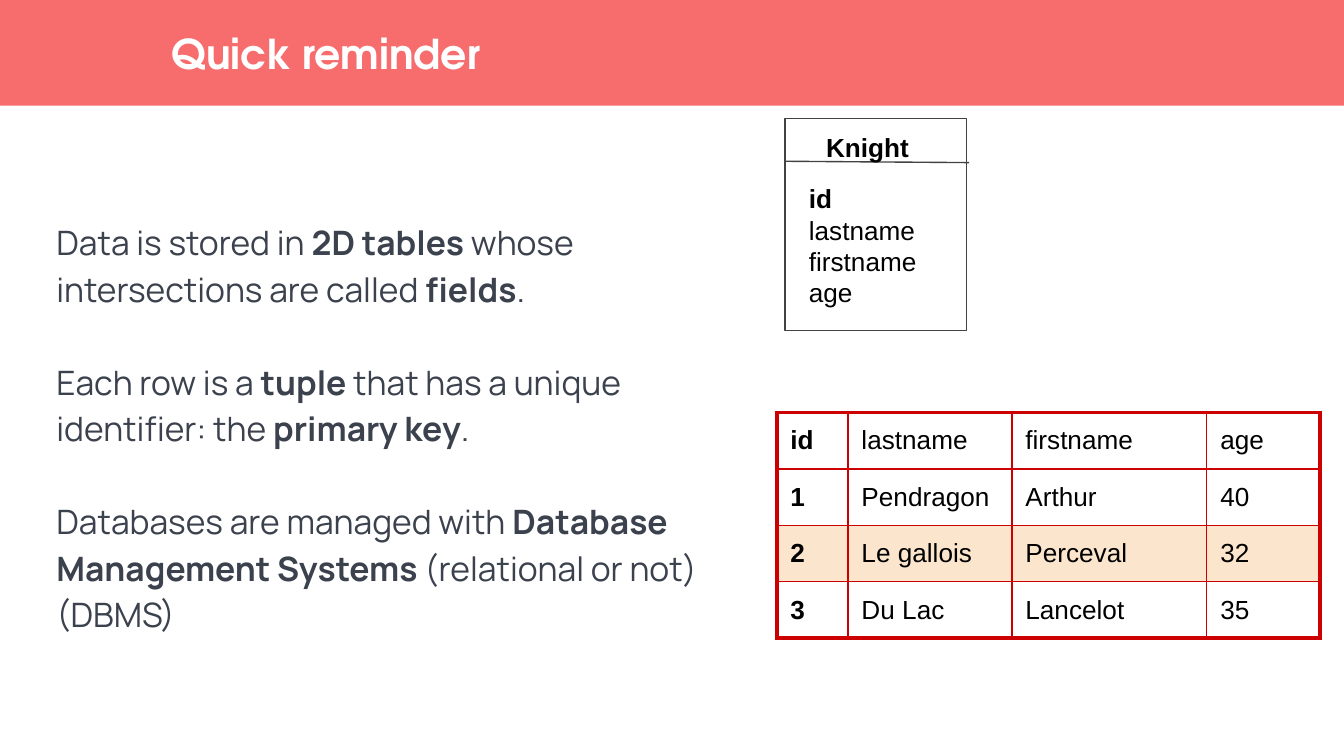
"""Build the database reminder slide: key ideas, entity box and sample table."""
from lxml import etree
from pptx import Presentation, util as u
from pptx.dml.color import RGBColor
from pptx.enum import shapes, text
from pptx.oxml.ns import qn

W = 10
H = W * 9 / 16
CORAL, WHITE, SLATE, BLACK = "F76C6C", "FFFFFF", "3B424E", "000000"
GREY, RED, PEACH = "424242", "CC0000", "FCE5CD"

TITLE = "Quick reminder"
IDEAS = [
    "Data is stored in **2D tables** whose intersections are called **fields**.",
    "Each row is a **tuple** that has a unique identifier: the **primary key**.",
    "Databases are managed with **Database Management Systems** (relational or not) (DBMS)",
]
ENTITY = "Knight"
FIELDS = ["id", "lastname", "firstname", "age"]
KNIGHTS = [
    ["1", "Pendragon", "Arthur", "40"],
    ["2", "Le gallois", "Perceval", "32"],
    ["3", "Du Lac", "Lancelot", "35"],
]
COLS, ROW_H = [0.53, 1.22, 1.45, 0.84], 0.42
HIGHLIGHT_ROW = 2
THIN, THICK = 0.75, 2.25


def rgb(hex_color):
    """Turn a hex string into a colour."""
    return RGBColor.from_string(hex_color)


def inches(*values):
    """Turn numbers into inch lengths."""
    return [u.Inches(v) for v in values]


def write(tf, lines, size=14, font="Arial", color=BLACK, inset=0.1, gap=0,
          spacing=None, align=None, anchor=text.MSO_ANCHOR.TOP):
    """Write lines into a text frame; ** switches bold on and off."""
    tf.word_wrap = True
    tf.vertical_anchor = anchor
    tf.margin_left = tf.margin_top = tf.margin_right = tf.margin_bottom = u.Inches(inset)
    for i, line in enumerate(lines):
        p = tf.add_paragraph() if i else tf.paragraphs[0]
        p.alignment, p.line_spacing = align, spacing
        if i and gap:
            p.space_before = u.Pt(gap)
        for j, part in enumerate(line.split("**")):
            if part:
                r = p.add_run()
                r.text = part
                r.font.size, r.font.name, r.font.bold = u.Pt(size), font, j % 2 == 1
                r.font.color.rgb = rgb(color)


def add_text(parent, box, lines, **fmt):
    """Add a text box to a shape collection."""
    write(parent.add_textbox(*inches(*box)).text_frame, lines, **fmt)


def add_rect(parent, box, fill=None, line=None):
    """Add a plain rectangle."""
    sp = parent.add_shape(shapes.MSO_SHAPE.RECTANGLE, *inches(*box))
    sp.shadow.inherit = False
    if fill:
        sp.fill.solid()
        sp.fill.fore_color.rgb = rgb(fill)
    else:
        sp.fill.background()
    if line:
        sp.line.color.rgb, sp.line.width = rgb(line), u.Pt(THIN)
    else:
        sp.line.fill.background()


def add_line(parent, start, end, color):
    """Add a thin straight line."""
    cn = parent.add_connector(shapes.MSO_CONNECTOR.STRAIGHT, *inches(*start, *end))
    cn.line.color.rgb, cn.line.width = rgb(color), u.Pt(THIN)
    etree.SubElement(cn._element.spPr, qn("a:effectLst"))


def add_border(cell, side, width):
    """Draw one side of a cell."""
    ln = etree.SubElement(cell._tc.get_or_add_tcPr(), qn(f"a:ln{side}"), w=str(u.Pt(width)))
    fill = etree.SubElement(ln, qn("a:solidFill"))
    etree.SubElement(fill, qn("a:srgbClr"), val=RED)


def add_knights(s, left, top):
    """Add the sample table with a thick outer frame and bold keys."""
    rows = [FIELDS] + KNIGHTS
    last_row, last_col = len(rows) - 1, len(COLS) - 1
    table = s.shapes.add_table(len(rows), len(COLS),
                               *inches(left, top, sum(COLS), ROW_H * len(rows))).table
    table.first_row = table.horz_banding = False
    for column, width in zip(table.columns, COLS):
        column.width = u.Inches(width)
    for i, row in enumerate(rows):
        table.rows[i].height = u.Inches(ROW_H)
        for j, value in enumerate(row):
            cell = table.cell(i, j)
            write(cell.text_frame, [value if j else f"**{value}**"])
            cell.margin_left = cell.margin_right = cell.margin_top = u.Inches(0.1)
            cell.margin_bottom = u.Inches(0.08)
            outer = {"L": j == 0, "R": j == last_col, "T": i == 0, "B": i == last_row}
            for side, thick in outer.items():
                add_border(cell, side, THICK if thick else THIN)
            if i == HIGHLIGHT_ROW:
                cell.fill.solid()
                cell.fill.fore_color.rgb = rgb(PEACH)
            else:
                cell.fill.background()


def main():
    """Lay out the slide and save it."""
    prs = Presentation()
    prs.slide_width, prs.slide_height = inches(W, H)
    s = prs.slides.add_slide(prs.slide_layouts[6])

    band = 0.14 * H
    add_rect(s.shapes, (-0.02, 0, W + 0.04, band), fill=CORAL)
    add_text(s.shapes, (1.28, 0, 4.34, band), [f"**{TITLE}**"], size=22, color=WHITE,
             font="TeX Gyre Adventor", inset=0, anchor=text.MSO_ANCHOR.MIDDLE)
    add_text(s.shapes, (0.42, 1.61, 4.77, 3.45), IDEAS, size=18, font="Manrope",
             color=SLATE, inset=0, spacing=1.15, gap=25)
    add_knights(s, 5.78, 3.07)

    entity = s.shapes.add_group_shape().shapes
    add_rect(entity, (5.84, 0.88, 1.35, 1.58), line=GREY)
    add_line(entity, (5.85, 1.2), (7.21, 1.21), GREY)
    add_text(entity, (5.78, 0.88, 1.35, 0.34), [f"**{ENTITY}**"], align=text.PP_ALIGN.CENTER)
    add_text(entity, (5.92, 1.26, 1.5, 0.34), [f"**{FIELDS[0]}**"] + FIELDS[1:])
    prs.save("out.pptx")


if __name__ == "__main__":
    main()
